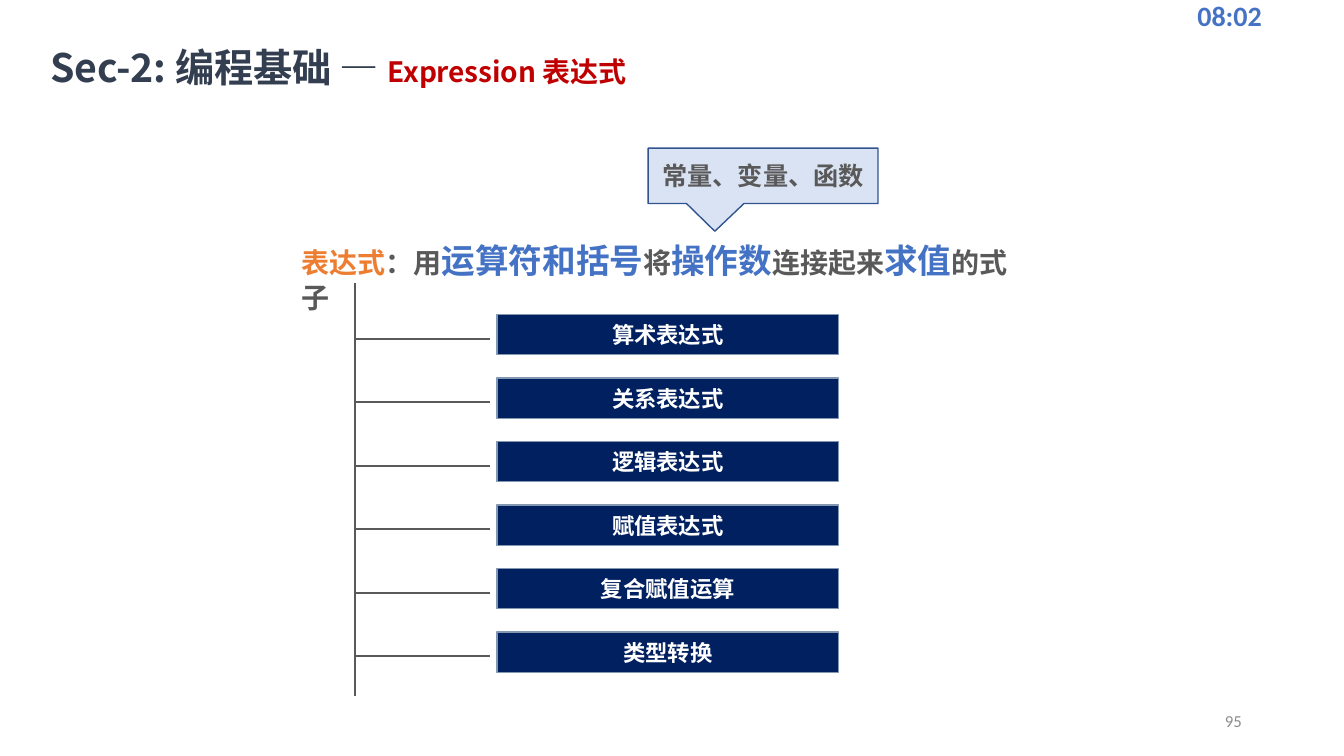
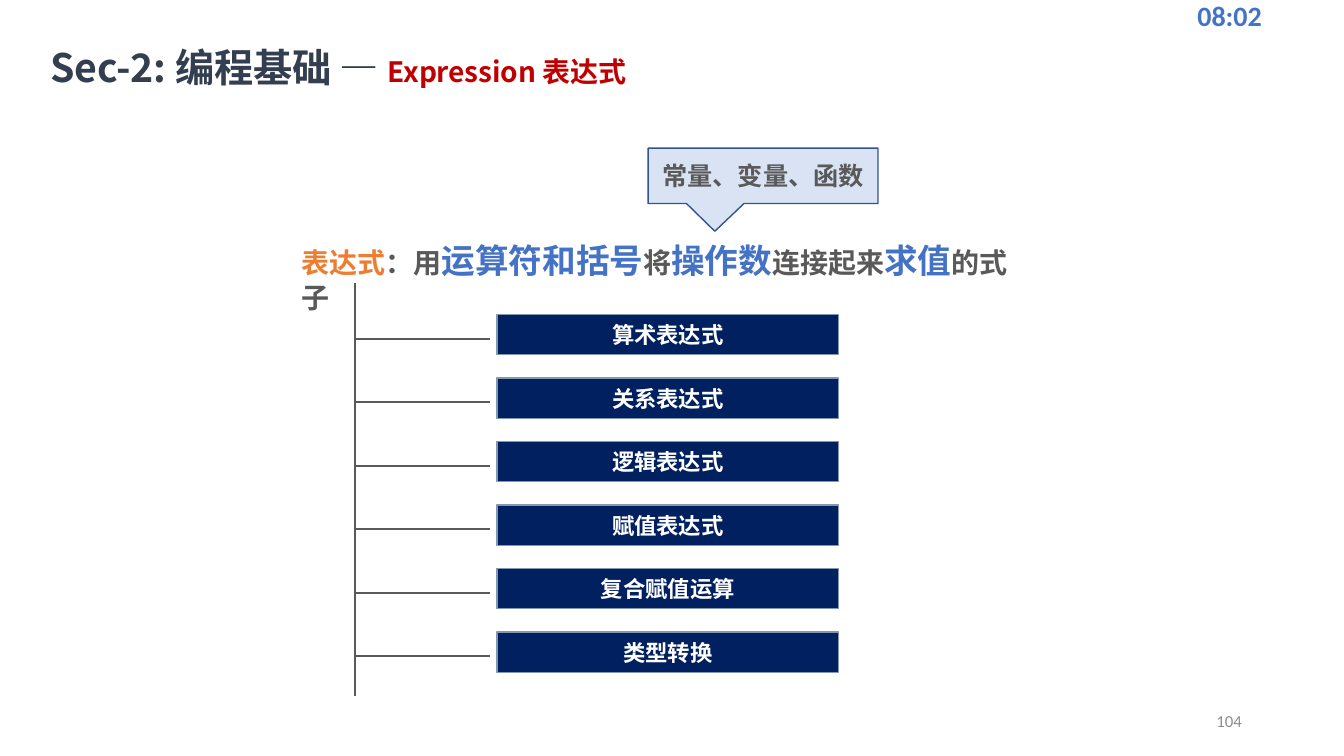
from dataclasses import dataclass

from pptx import Presentation
from pptx.dml.color import RGBColor
from pptx.enum.shapes import MSO_CONNECTOR, MSO_SHAPE
from pptx.enum.text import MSO_ANCHOR, MSO_AUTO_SIZE, PP_ALIGN
from pptx.oxml.ns import qn
from pptx.util import Inches, Pt

RECT = MSO_SHAPE.RECTANGLE
CALLOUT = MSO_SHAPE.RECTANGULAR_CALLOUT
STRAIGHT = MSO_CONNECTOR.STRAIGHT
TOP, MIDDLE = MSO_ANCHOR.TOP, MSO_ANCHOR.MIDDLE
LEFT, CENTER, RIGHT = PP_ALIGN.LEFT, PP_ALIGN.CENTER, PP_ALIGN.RIGHT
FIT_TEXT = MSO_AUTO_SIZE.SHAPE_TO_FIT_TEXT

WIDTH, HEIGHT = Inches(13.33), Inches(7.5)


@dataclass(frozen=True)
class Theme:
    cjk: str = "Noto Sans CJK SC"
    latin: str = "Calibri"
    title: str = "333F50"
    topic: str = "C00000"
    accent: str = "4472C4"
    term: str = "ED7D31"
    body: str = "595959"
    page: str = "8C8C8C"
    white: str = "FFFFFF"
    box: str = "002060"
    box_line: str = "8497B0"
    note: str = "DAE3F3"
    note_line: str = "325491"
    title_size: int = 28
    key_size: int = 24
    text_size: int = 20
    note_size: int = 18
    box_size: int = 16
    page_size: int = 12
    thin: float = 1
    rule: float = 1.5


T = Theme()
KINDS = ["算术表达式", "关系表达式", "逻辑表达式", "赋值表达式", "复合赋值运算", "类型转换"]
DEFINITION = [
    ("表达式", T.text_size, T.term),
    ("：用", T.text_size, T.body),
    ("运算符和括号", T.key_size, T.accent),
    ("将", T.text_size, T.body),
    ("操作数", T.key_size, T.accent),
    ("连接起来", T.text_size, T.body),
    ("求值", T.key_size, T.accent),
    ("的式子", T.text_size, T.body),
]
PAGES = ["95", "104"]
TRUNK_COL, BRANCH_END_COL, BOX_COL = 26.4, 36.45, 36.98
BRANCH_ROW, BOX_ROW, PITCH = 44.8, 41.6, 8.4


def cols(n):
    return round(WIDTH * n / 100)


def rows(n):
    return round(HEIGHT * n / 100)


def area(col, row, width, height):
    return cols(col), rows(row), cols(width), rows(height)


def add_run(p, text, size, color, font=T.cjk, bold=True):
    r = p.add_run()
    r.text = text
    r.font.size = Pt(size)
    r.font.bold = bold
    r.font.name = font
    r.font.color.rgb = RGBColor.from_string(color)
    ea = r.font._element.makeelement(qn("a:ea"), {"typeface": font})
    r.font._element.find(qn("a:latin")).addnext(ea)
    return r


def add_text(slide, place, anchor=TOP, align=LEFT):
    tf = slide.shapes.add_textbox(*area(*place)).text_frame
    tf.word_wrap = True
    tf.vertical_anchor = anchor
    p = tf.paragraphs[0]
    p.alignment = align
    return tf, p


def add_label(slide, kind, place, text, size, color, fill, line):
    sp = slide.shapes.add_shape(kind, *area(*place))
    sp.shadow.inherit = False
    sp.fill.solid()
    sp.fill.fore_color.rgb = RGBColor.from_string(fill)
    sp.line.color.rgb = RGBColor.from_string(line)
    sp.line.width = Pt(T.thin)
    tf = sp.text_frame
    tf.vertical_anchor = MIDDLE
    tf.paragraphs[0].alignment = CENTER
    add_run(tf.paragraphs[0], text, size, color)
    return sp


def add_rule(slide, col1, row1, col2, row2):
    line = slide.shapes.add_connector(
        STRAIGHT, cols(col1), rows(row1), cols(col2), rows(row2))
    line.line.color.rgb = RGBColor.from_string(T.body)
    line.line.width = Pt(T.rule)
    props = line._element.spPr
    props.append(props.makeelement(qn("a:effectLst"), {}))


def add_frame(slide, page):
    _, p = add_text(slide, (88.35, -0.67, 11.25, 5.33), MIDDLE)
    add_run(p, "08:02", T.text_size, T.accent, T.latin)
    _, p = add_text(slide, (70.65, 92.67, 22.5, 5.33), MIDDLE, RIGHT)
    add_run(p, page, T.page_size, T.page, T.latin, False)


def add_title(slide, section, topic):
    tf, p = add_text(slide, (3.75, 5.6, 57.45, 6.4))
    tf.auto_size = FIT_TEXT
    tf.margin_left = tf.margin_right = tf.margin_bottom = 0
    tf.margin_top = Inches(0.01)
    p.space_before = Pt(0.9)
    for text, size, color in ((section, T.title_size, T.title),
                              (topic, T.text_size, T.topic)):
        r = add_run(p, text, size, color)
        r.font._element.set("spc", "-10")


def add_definition(slide):
    tf, p = add_text(slide, (21.68, 31.07, 56, 6.67))
    tf.auto_size = FIT_TEXT
    for text, size, color in DEFINITION:
        add_run(p, text, size, color)
    note = add_label(slide, CALLOUT, (48.23, 19.6, 17.1, 7.33), "常量、变量、函数",
                     T.note_size, T.body, T.note, T.note_line)
    note.adjustments[0] = -0.21
    note.adjustments[1] = 1


def add_tree(slide, names):
    add_rule(slide, TRUNK_COL, 37.47, TRUNK_COL, 92)
    for i, name in enumerate(names):
        row = BRANCH_ROW + i * PITCH
        add_rule(slide, TRUNK_COL, row, BRANCH_END_COL, row)
        add_label(slide, RECT, (BOX_COL, BOX_ROW + i * PITCH, 25.43, 5.33),
                  name, T.box_size, T.white, T.box, T.box_line)


def main():
    prs = Presentation()
    prs.slide_width, prs.slide_height = WIDTH, HEIGHT
    for page in PAGES:
        slide = prs.slides.add_slide(prs.slide_layouts[6])
        add_frame(slide, page)
        add_title(slide, "Sec-2: 编程基础 — ", "Expression 表达式")
        add_definition(slide)
        add_tree(slide, KINDS)
    prs.save("out.pptx")


if __name__ == "__main__":
    main()
